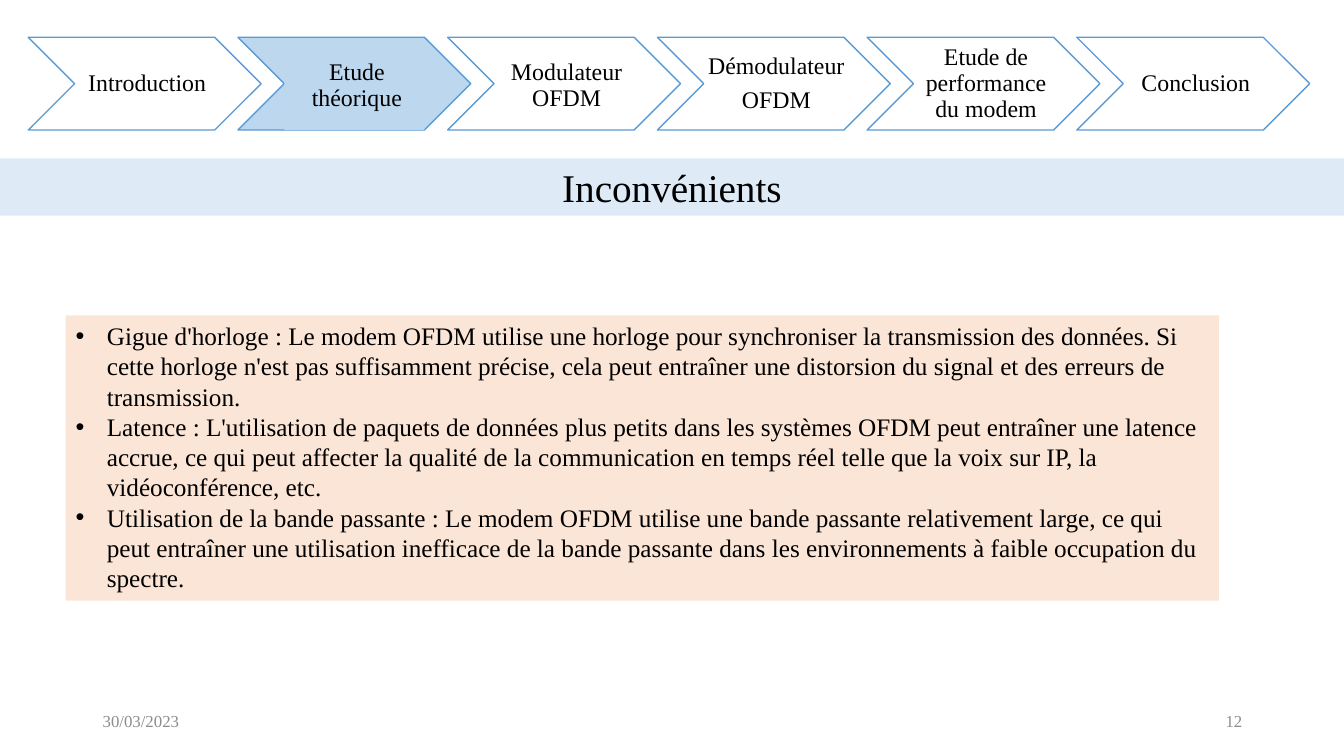
from dataclasses import dataclass

from lxml.etree import SubElement
from pptx import Presentation
from pptx.dml.color import RGBColor
from pptx.enum.shapes import MSO_SHAPE
from pptx.enum.text import MSO_ANCHOR, MSO_AUTO_SIZE, PP_ALIGN
from pptx.oxml.ns import qn
from pptx.util import Inches, Pt


@dataclass(frozen=True)
class Theme:
    font: str = "Times New Roman"
    ink: str = "000000"
    muted: str = "8C8C8C"
    paper: str = "FFFFFF"
    outline: str = "5B9BD5"
    active: str = "BDD7EE"
    title_band: str = "DEEBF7"
    body_panel: str = "FBE5D6"
    title_size: int = 28
    body_size: int = 18
    step_size: int = 17
    footer_size: int = 12


class SlideBuilder:
    def __init__(self, slide, theme):
        self.slide = slide
        self.theme = theme

    def place(self, shape, left, top, width, height):
        shape.left, shape.top = Inches(left), Inches(top)
        shape.width, shape.height = Inches(width), Inches(height)

    def fill(self, shape, color):
        shape.fill.solid()
        shape.fill.fore_color.rgb = RGBColor.from_string(color)

    def set_text(self, shape, text, size, color, align, anchor):
        frame = shape.text_frame
        frame.text = text
        frame.word_wrap = True
        frame.auto_size = MSO_AUTO_SIZE.NONE
        frame.vertical_anchor = anchor
        for para in frame.paragraphs:
            para.alignment = align
            para.space_before = Pt(0)
            for span in para.runs:
                span.font.name = self.theme.font
                span.font.size = Pt(size)
                span.font.color.rgb = RGBColor.from_string(color)
        return frame

    def title(self, text, *area):
        title = self.slide.shapes.title
        self.place(title, *area)
        self.fill(title, self.theme.title_band)
        self.set_text(title, text, self.theme.title_size, self.theme.ink,
                      PP_ALIGN.CENTER, MSO_ANCHOR.MIDDLE)

    def bullets(self, items, *area):
        body = self.slide.placeholders[1]
        self.place(body, *area)
        self.fill(body, self.theme.body_panel)
        frame = self.set_text(body, "\n".join(items), self.theme.body_size,
                              self.theme.ink, PP_ALIGN.LEFT, MSO_ANCHOR.TOP)
        for para in frame.paragraphs:
            properties = para._p.get_or_add_pPr()
            properties.set("marL", str(Inches(0.31)))
            properties.set("indent", str(-Inches(0.31)))
            SubElement(properties, qn("a:buFont"), typeface="Arial")
            SubElement(properties, qn("a:buChar"), char="•")

    def chevron(self, color, *area):
        chevron = self.slide.shapes.add_shape(
            MSO_SHAPE.CHEVRON, *map(Inches, area))
        chevron.shadow.inherit = False
        self.fill(chevron, color)
        chevron.line.color.rgb = RGBColor.from_string(self.theme.outline)
        chevron.line.width = Pt(1)

    def step_label(self, text, color, *area):
        box = self.slide.shapes.add_textbox(*map(Inches, area))
        if color != self.theme.paper:
            self.fill(box, color)
        frame = self.set_text(box, text, self.theme.step_size, self.theme.ink,
                              PP_ALIGN.CENTER, MSO_ANCHOR.MIDDLE)
        frame.margin_left = Inches(0.07)
        frame.margin_right = frame.margin_top = frame.margin_bottom = Inches(0.02)
        for para in frame.paragraphs:
            para.line_spacing = 0.9
            para.space_after = Pt(6)

    def footer(self, text, align, left):
        box = self.slide.shapes.add_textbox(
            Inches(left), Inches(6.95), Inches(3), Inches(0.4))
        self.set_text(box, text, self.theme.footer_size, self.theme.muted,
                      align, MSO_ANCHOR.MIDDLE)


# Step text, label top, label width
STEPS = [
    ("Introduction", 0.37, 1.39),
    ("Etude théorique", 0.41, 1.39),
    ("Modulateur OFDM", 0.41, 1.39),
    ("Démodulateur\nOFDM", 0.37, 1.54),
    ("Etude de performance du modem", 0.37, 1.54),
    ("Conclusion", 0.37, 1.39),
]
CURRENT_STEP = 1
STEP_LEFT, STEP_TOP, STEP_PITCH = 0.28, 0.37, 2.08
STEP_WIDTH, STEP_HEIGHT = 2.31, 0.92

DRAWBACKS = [
    "Gigue d'horloge : Le modem OFDM utilise une horloge pour synchroniser la "
    "transmission des données. Si cette horloge n'est pas suffisamment précise, "
    "cela peut entraîner une distorsion du signal et des erreurs de transmission.",
    "Latence : L'utilisation de paquets de données plus petits dans les systèmes "
    "OFDM peut entraîner une latence accrue, ce qui peut affecter la qualité de la "
    "communication en temps réel telle que la voix sur IP, la vidéoconférence, etc.",
    "Utilisation de la bande passante : Le modem OFDM utilise une bande passante "
    "relativement large, ce qui peut entraîner une utilisation inefficace de la "
    "bande passante dans les environnements à faible occupation du spectre.",
]


def main():
    deck = Presentation()
    deck.slide_width, deck.slide_height = Inches(13.33), Inches(7.5)
    theme = Theme()
    page = SlideBuilder(deck.slides.add_slide(deck.slide_layouts[1]), theme)

    # Title band
    page.title("Inconvénients", 0, 1.57, 13.33, 0.57)

    # Progress chevrons
    for index, (text, top, width) in enumerate(STEPS):
        color = theme.active if index == CURRENT_STEP else theme.paper
        left = STEP_LEFT + index * STEP_PITCH
        page.chevron(color, left, STEP_TOP, STEP_WIDTH, STEP_HEIGHT)
        page.step_label(text, color, left + (STEP_WIDTH - width) / 2, top,
                        width, STEP_TOP + STEP_HEIGHT - top)

    # Drawbacks
    page.bullets(DRAWBACKS, 0.65, 3.13, 11.44, 2.83)

    # Date and page number
    page.footer("30/03/2023", PP_ALIGN.LEFT, 0.92)
    page.footer("12", PP_ALIGN.RIGHT, 9.42)

    deck.save("out.pptx")


if __name__ == "__main__":
    main()
